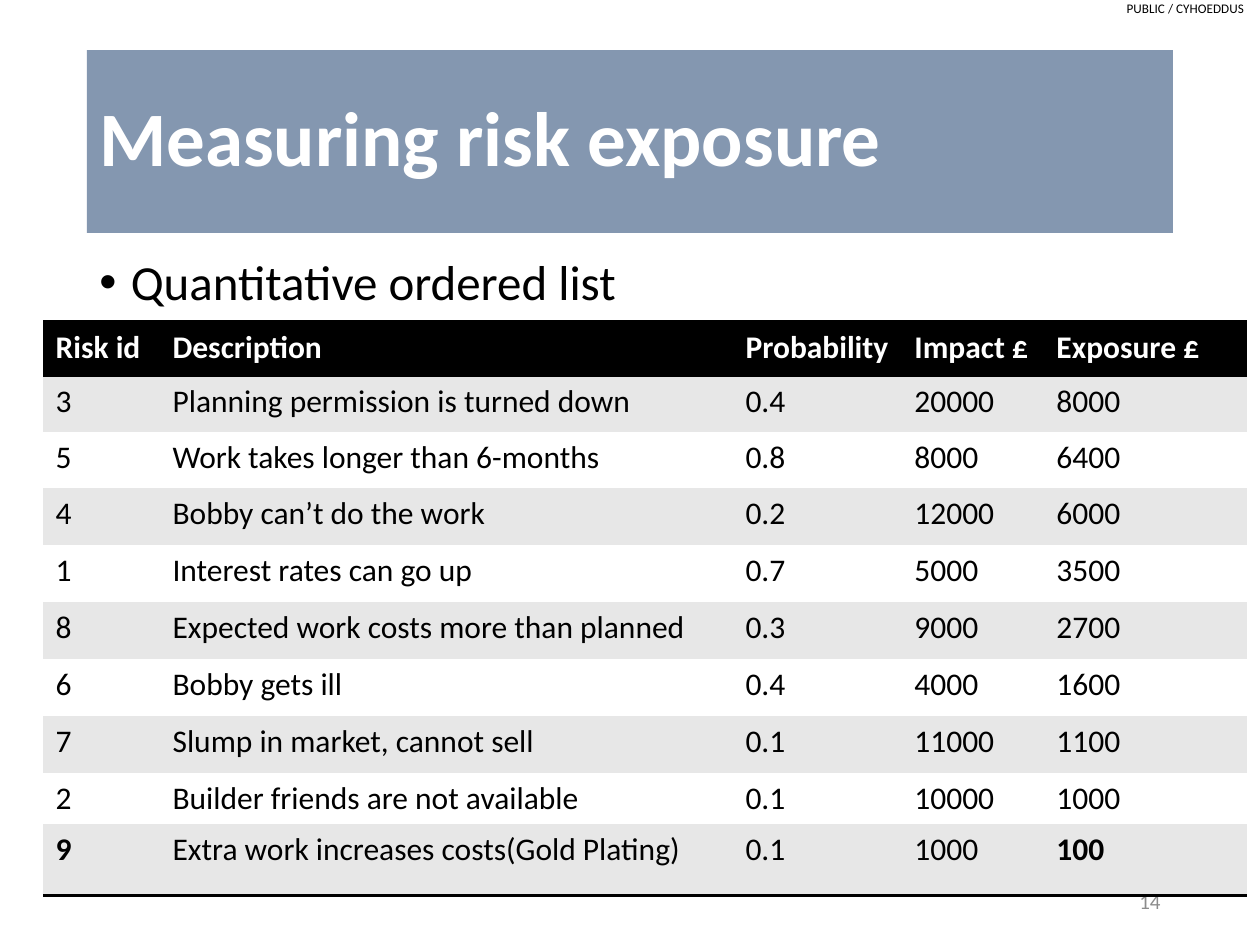
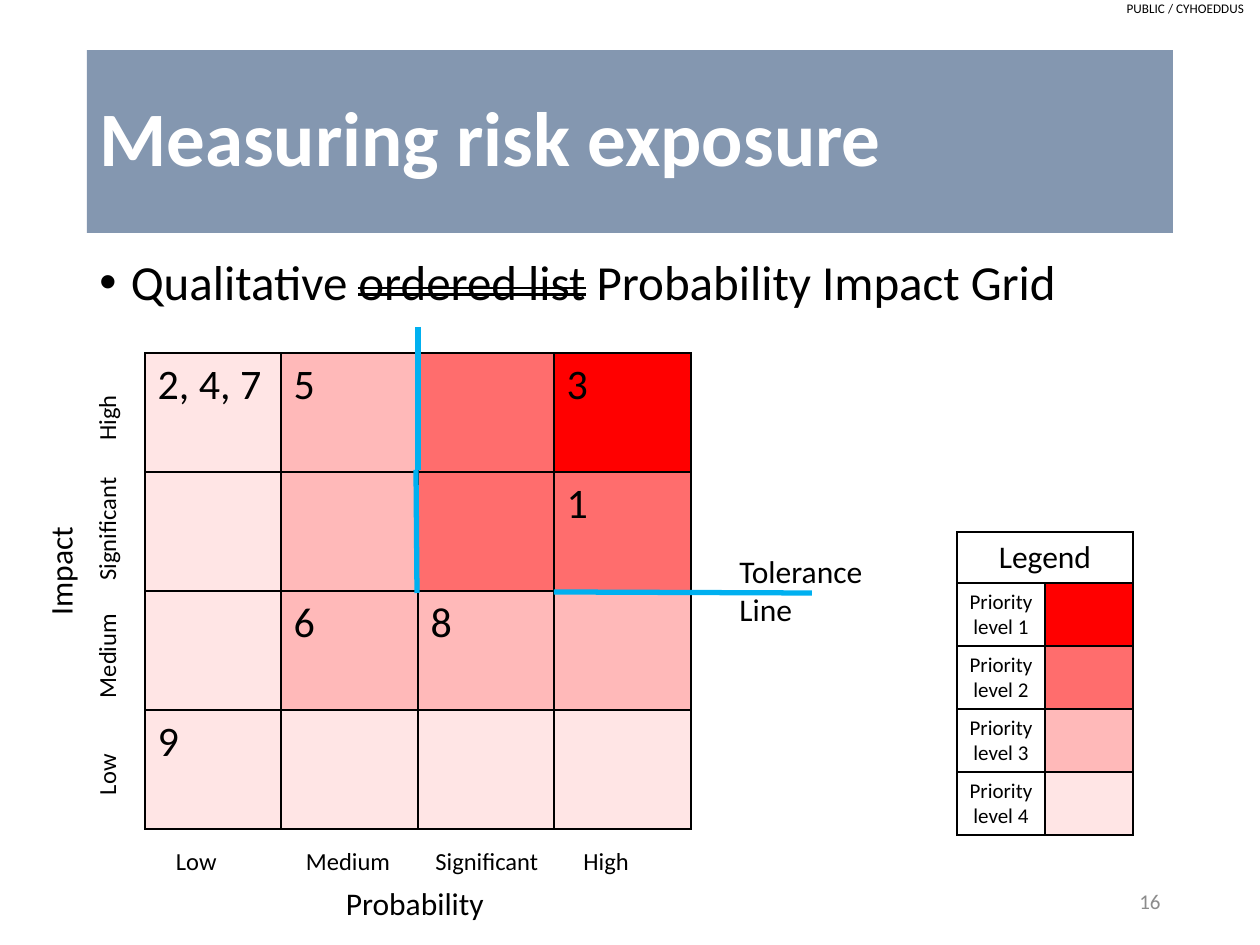
from itertools import accumulate
from pptx import Presentation
from pptx.dml.color import RGBColor as Rgb
from pptx.enum.shapes import MSO_CONNECTOR as Link, MSO_SHAPE as Kind
from pptx.enum.text import MSO_ANCHOR as Anchor, PP_ALIGN as Align
from pptx.oxml.ns import qn
from pptx.util import Emu, Pt
from lxml.etree import SubElement as sub

SCALE = 914400 / 126
FONT = "Calibri"
PLAIN = "{2D5ABB26-0587-4C30-8999-92F81FD0307C}"
HUES = {
    "ink": "000000", "paper": "FFFFFF", "band": "8497B0", "stripe": "E7E7E7",
    "page": "8C8C8C", "line": "00B0F0",
    1: "FF0000", 2: "FF6D6D", 3: "FFB9B9", 4: "FFE5E5",
}
HEAD = ["Risk id", "Description", "Probability", "Impact £", "Exposure £"]
RISKS = [
    ("3", "Planning permission is turned down", "0.4", "20000", "8000"),
    ("5", "Work takes longer than 6-months", "0.8", "8000", "6400"),
    ("4", "Bobby can’t do the work", "0.2", "12000", "6000"),
    ("1", "Interest rates can go up", "0.7", "5000", "3500"),
    ("8", "Expected work costs more than planned", "0.3", "9000", "2700"),
    ("6", "Bobby gets ill", "0.4", "4000", "1600"),
    ("7", "Slump in market, cannot sell", "0.1", "11000", "1100"),
    ("2", "Builder friends are not available", "0.1", "10000", "1000"),
    ("9", "Extra work increases costs(Gold Plating)", "0.1", "1000", "100"),
]
GRID = [
    [("2, 4, 7", 4), ("5", 3), ("", 2), ("3", 1)],
    [("", 4), ("", 3), ("", 2), ("1", 2)],
    [("", 4), ("6", 3), ("8", 3), ("", 3)],
    [("9", 4), ("", 4), ("", 4), ("", 4)],
]
WIDE = {"Low": 67, "Medium": 111, "Significant": 130, "High": 72}


def px(n):
    return Emu(round(n * SCALE))


def hue(name):
    return Rgb.from_string(HUES[name])


def add_run(para, text, size, color="ink", bold=False):
    run = para.add_run()
    run.text = text
    font = run.font
    font.name, font.size, font.bold = FONT, Pt(size), bold
    font.color.rgb = hue(color)
    return run


def add_text(slide, box, text, size, color="ink", align=Align.LEFT, wrap=False, turn=0):
    shape = slide.shapes.add_textbox(*map(px, box))
    shape.rotation = turn
    frame = shape.text_frame
    frame.word_wrap = wrap
    para = frame.paragraphs[0]
    para.alignment = align
    if text:
        add_run(para, text, size, color)
    return frame


def add_label(slide, mid, wide, high, text, size, turn=0):
    x, y = mid
    add_text(slide, (x - wide / 2, y - high / 2, wide, high), text, size, turn=turn)


def add_grid(slide, left, top, cols, rows):
    box = (left, top, sum(cols), sum(rows))
    frame = slide.shapes.add_table(len(rows), len(cols), *map(px, box))
    table = frame.table
    table.first_row = table.horz_banding = False
    next(frame.element.iter(qn("a:tableStyleId"))).text = PLAIN
    for col, wide in zip(table.columns, cols):
        col.width = px(wide)
    for row, high in zip(table.rows, rows):
        row.height = px(high)
    return table


def add_edge(cell, sides, width):
    props = cell._tc.get_or_add_tcPr()
    for spot, side in enumerate(sides):
        line = props.makeelement(qn("a:ln" + side), {"w": str(Pt(width))})
        fill = sub(line, qn("a:solidFill"))
        sub(fill, qn("a:srgbClr"), val=HUES["ink"])
        props.insert(spot, line)


def fill_cell(cell, fill, text="", size=18, color="ink", bold=False, align=Align.LEFT):
    cell.fill.solid()
    cell.fill.fore_color.rgb = hue(fill)
    para = cell.text_frame.paragraphs[0]
    para.alignment = align
    if text:
        add_run(para, text, size, color, bold)


def add_frame(slide, page, parts):
    tag = add_text(slide, (1124, 0, 120, 16), "PUBLIC / CYHOEDDUS", 7.5, align=Align.RIGHT)
    tag.margin_left = tag.margin_right = tag.margin_top = tag.margin_bottom = 0
    band = slide.shapes.add_shape(Kind.RECTANGLE, *map(px, (87, 50, 1086, 183)))
    band.shadow.inherit = False
    band.fill.solid()
    band.fill.fore_color.rgb = hue("band")
    band.line.fill.background()
    band.text_frame.word_wrap = True
    band.text_frame.vertical_anchor = Anchor.MIDDLE
    title = band.text_frame.paragraphs[0]
    title.alignment, title.line_spacing = Align.LEFT, 0.9
    add_run(title, "Measuring risk exposure", 44, "paper", True)
    body = add_text(slide, (87, 252, 1086, 600), "", 28, wrap=True)
    para = body.paragraphs[0]
    para.line_spacing = 0.9
    props = para._p.get_or_add_pPr()
    props.set("marL", "228600")
    props.set("indent", "-228600")
    sub(props, qn("a:buFont"), typeface="Arial")
    sub(props, qn("a:buChar"), char="•")
    for text, struck in parts:
        run = add_run(para, text, 28)
        if struck:
            run.font._element.set("strike", "dblStrike")
    foot = add_text(slide, (890, 876, 283, 50), page, 12, "page", Align.RIGHT, True)
    foot.vertical_anchor = Anchor.MIDDLE


def add_risks(slide, left, top):
    cols = [117, 573, 169, 142, 203]
    rows = [54, 56, 56] + [57] * 5 + [51, 72]
    table = add_grid(slide, left, top, cols, rows)
    last = len(RISKS)
    for c, text in enumerate(HEAD):
        cell = table.cell(0, c)
        fill_cell(cell, "ink", text, color="paper", bold=True)
        add_edge(cell, "TB", 2)
    for r, risk in enumerate(RISKS, 1):
        for c, text in enumerate(risk):
            cell = table.cell(r, c)
            bold = r == last and c in (0, 4)
            fill_cell(cell, "stripe" if r % 2 else "paper", text, bold=bold)
            if r == last:
                add_edge(cell, "B", 2)


def add_matrix(slide, left, top):
    cols, rows = [136, 137] * 2, [119] * 4
    table = add_grid(slide, left, top, cols, rows)
    for r, line in enumerate(GRID):
        for c, (text, level) in enumerate(line):
            cell = table.cell(r, c)
            fill_cell(cell, level, text, 24)
            add_edge(cell, "LRTB", 1)
    for (name, wide), x, y in zip(WIDE.items(), (52, 204, 343, 462), (421, 302, 175, 64)):
        add_label(slide, (left + x, top + 508), wide, 43, name, 14)
        add_label(slide, (left - 38, top + y), wide, 43, name, 14, 270)
    add_label(slide, (left - 85, top + 217), 115, 50, "Impact", 18, 270)
    add_label(slide, (left + 271, top + 550), 165, 50, "Probability", 18)
    for x, y, to_x, to_y in [(273, -26, 273, 117), (271, 117, 272, 240), (409, 239, 667, 240)]:
        ends = map(px, (left + x, top + y, left + to_x, top + to_y))
        line = slide.shapes.add_connector(Link.STRAIGHT, *ends)
        line.line.color.rgb = hue("line")
        line.line.width = Pt(3)
        sub(line._element.spPr, qn("a:effectLst"))
    add_text(slide, (left + 582, top + 193, 168, 89), "Tolerance Line", 18, wrap=True)


def add_legend(slide, left, top):
    table = add_grid(slide, left, top, [88] * 2, [51] + [63] * 4)
    table.cell(0, 0).merge(table.cell(0, 1))
    fill_cell(table.cell(0, 0), "paper", "Legend", align=Align.CENTER)
    for level in range(1, 5):
        name, key = table.cell(level, 0), table.cell(level, 1)
        fill_cell(name, "paper", f"Priority level {level}", 12, align=Align.CENTER)
        fill_cell(key, level)
    for cell in table.iter_cells():
        add_edge(cell, "LRTB", 1)


def main():
    deck = Presentation()
    deck.slide_width, deck.slide_height = px(1260), px(945)
    blank = deck.slide_layouts[6]
    slide = deck.slides.add_slide(blank)
    add_frame(slide, "14", [("Quantitative ordered list", False)])
    add_risks(slide, 43, 322)
    slide = deck.slides.add_slide(blank)
    parts = [("Qualitative ", False), ("ordered list", True), (" Probability Impact Grid", False)]
    add_frame(slide, "16", parts)
    add_matrix(slide, 145, 353)
    add_legend(slide, 957, 532)
    deck.save("out.pptx")


if __name__ == "__main__":
    main()
